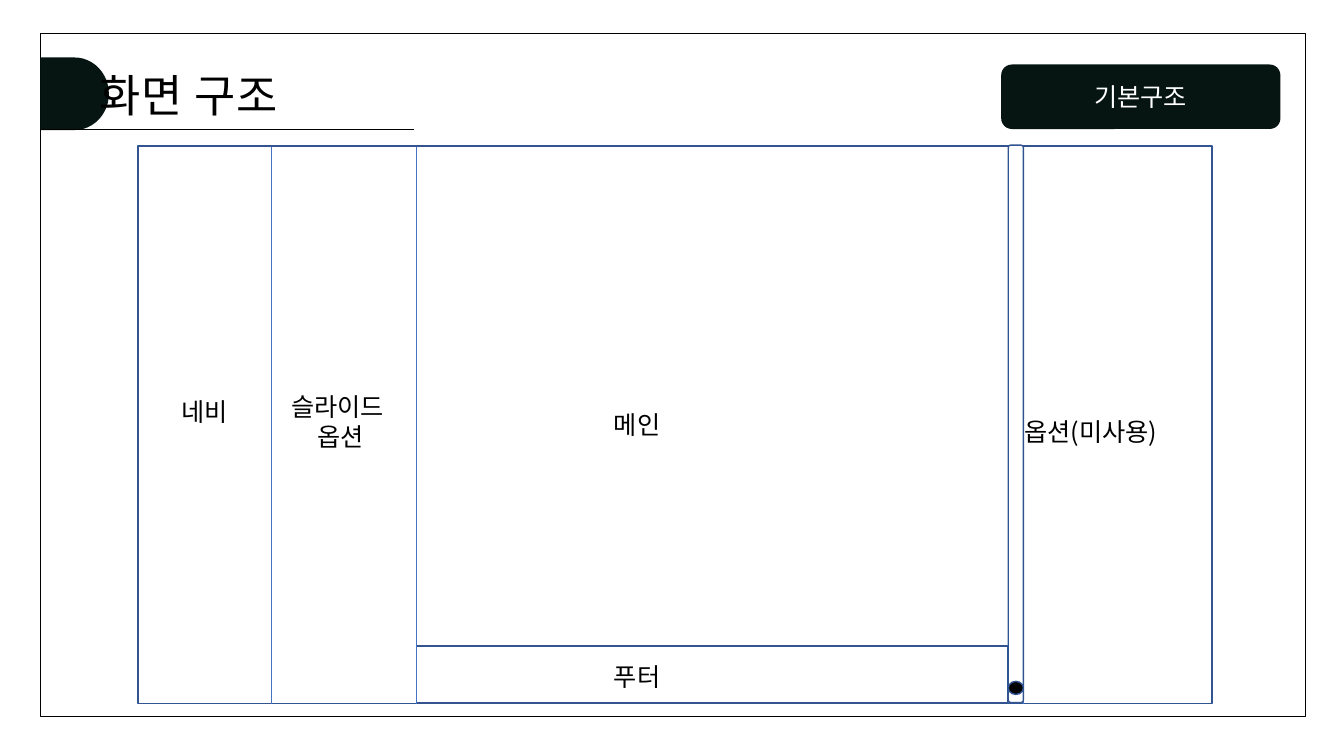
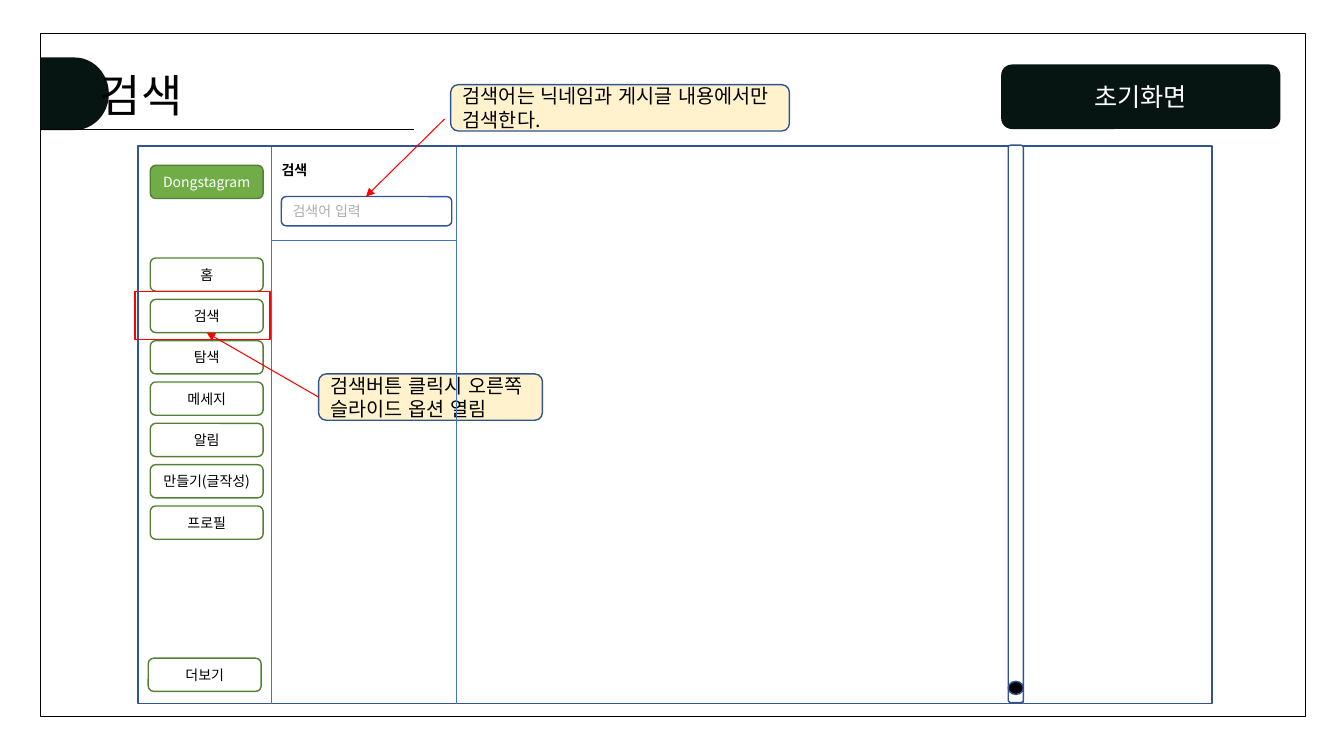
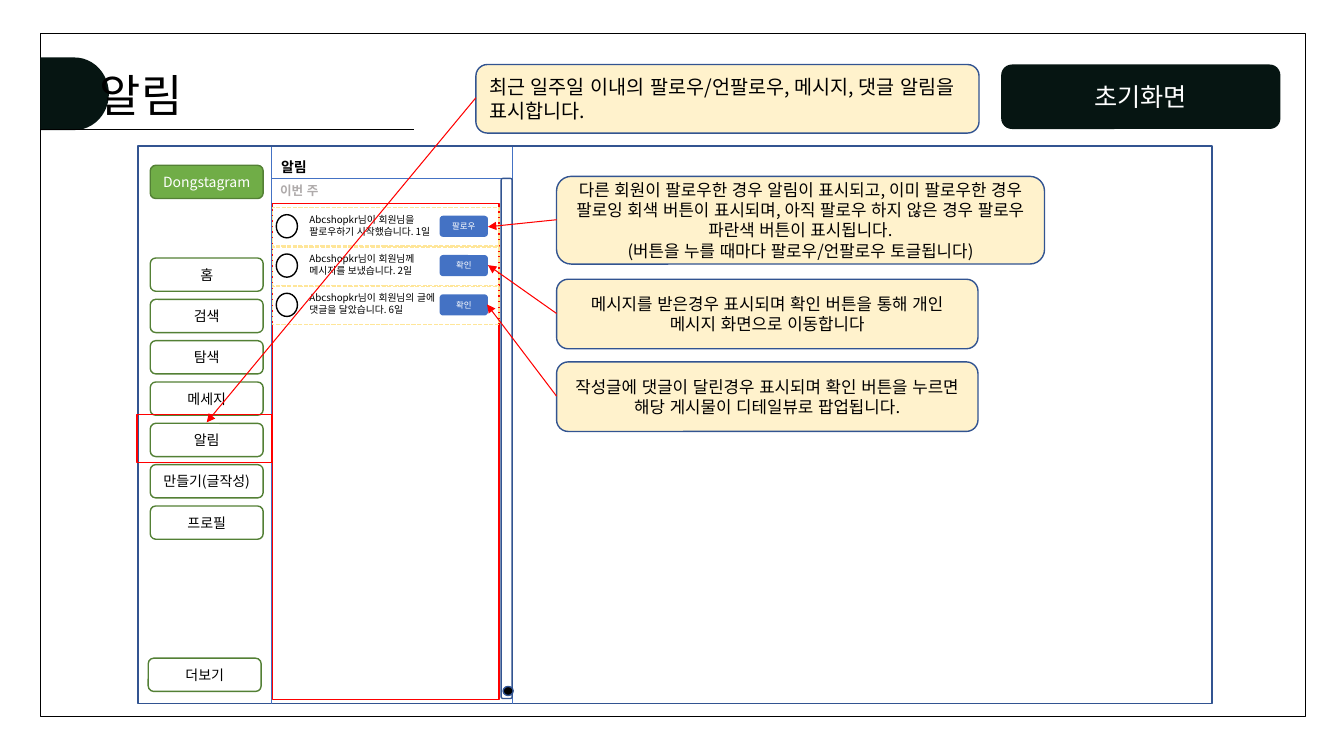
from lxml import etree
from pptx import Presentation
from pptx.dml.color import RGBColor
from pptx.enum.dml import MSO_LINE
from pptx.enum.lang import MSO_LANGUAGE_ID
from pptx.enum.shapes import MSO_CONNECTOR, MSO_SHAPE
from pptx.enum.text import MSO_ANCHOR, MSO_AUTO_SIZE, PP_ALIGN
from pptx.oxml.ns import qn
from pptx.util import Emu, Pt

PX = 9144  # 100 px to the inch
FONT = "Noto Sans CJK KR"
KOREAN = MSO_LANGUAGE_ID.KOREAN
RECTANGLE, ROUNDED = MSO_SHAPE.RECTANGLE, MSO_SHAPE.ROUNDED_RECTANGLE
OVAL, TAB = MSO_SHAPE.OVAL, MSO_SHAPE.FLOWCHART_DELAY
STRAIGHT, DASH = MSO_CONNECTOR.STRAIGHT, MSO_LINE.SQUARE_DOT
LEFT, CENTER = PP_ALIGN.LEFT, PP_ALIGN.CENTER
TOP, MIDDLE = MSO_ANCHOR.TOP, MSO_ANCHOR.MIDDLE
NO_AUTOFIT = MSO_AUTO_SIZE.NONE

BLACK, WHITE, GRAY, RED = "000000", "FFFFFF", "AFABAB", "FF0000"
INK, NAVY, BLUE = "061512", "325491", "4472C4"
GREEN, DARK_GREEN = "70AD47", "538035"
CREAM, GOLD = "FFF2CC", "FFE699"

SCREEN_TOP, SCREEN_BOTTOM = 146, 698
NAV_EDGE = 269
MENU = ["홈", "검색", "탐색", "메세지", "알림", "만들기(글작성)", "프로필"]
MENU_TOP, MENU_PITCH = 256, 41
NOTICES = [
    ("Abcshopkr님이 회원님을 팔로우하기 시작했습니다. 1일", "팔로우"),
    ("Abcshopkr님이 회원님께 메시지를 보냈습니다. 2일", "확인"),
    ("Abcshopkr님이 회원님의 글에 댓글을 달았습니다. 6일", "확인"),
]
NOTICE_TOP, NOTICE_PITCH = 206, 39


def px(*lengths):
    return [Emu(length * PX) for length in lengths]


def rgb(color):
    return RGBColor.from_string(color)


def write_text(shape, paragraphs, size, color=BLACK, align=LEFT, anchor=MIDDLE, bold=False):
    frame = shape.text_frame
    frame.word_wrap = True
    frame.auto_size = NO_AUTOFIT
    frame.vertical_anchor = anchor
    for index, text in enumerate(paragraphs):
        paragraph = frame.add_paragraph() if index else frame.paragraphs[0]
        paragraph.alignment = align
        run = paragraph.add_run()
        run.text = text
        font = run.font
        font.name, font.size, font.bold = FONT, Pt(size), bold
        font.color.rgb = rgb(color)
        font.language_id = KOREAN
        east_asian = etree.SubElement(font._element, qn("a:ea"))
        east_asian.set("typeface", FONT)


def add_box(shapes, kind, box, fill=None, line=None, dash=None):
    shape = shapes.add_shape(kind, *px(*box))
    shape.shadow.inherit = False
    if fill:
        shape.fill.solid()
        shape.fill.fore_color.rgb = rgb(fill)
    else:
        shape.fill.background()
    if line:
        shape.line.color.rgb = rgb(line)
        shape.line.width = Pt(1)
        shape.line.dash_style = dash
    else:
        shape.line.fill.background()
    return shape


def add_label(shapes, box, paragraphs, size, **style):
    label = shapes.add_textbox(*px(*box))
    write_text(label, paragraphs, size, **style)
    return label


def add_line(shapes, start, end, color=BLUE, width=0.5, arrow=False):
    line = shapes.add_connector(STRAIGHT, *px(*start, *end))
    line.line.color.rgb = rgb(color)
    line.line.width = Pt(width)
    if arrow:
        etree.SubElement(line.line._get_or_add_ln(), qn("a:tailEnd")).set("type", "triangle")
    etree.SubElement(line._element.spPr, qn("a:effectLst"))


def add_arrow(shapes, start, end):
    add_line(shapes, start, end, RED, 0.75, arrow=True)


def add_divider(shapes, x):
    add_line(shapes, (x, SCREEN_TOP), (x, SCREEN_BOTTOM))


def add_button(shapes, box, text, size=10, color=BLACK, fill=None, line=DARK_GREEN):
    button = add_box(shapes, ROUNDED, box, fill, line)
    write_text(button, [text], size, color, CENTER)


def add_callout(shapes, box, paragraphs, size=12, align=CENTER):
    callout = add_box(shapes, ROUNDED, box, CREAM, NAVY)
    write_text(callout, paragraphs, size, align=align)


def add_scrollbar(shapes, track, thumb):
    add_box(shapes, ROUNDED, track, WHITE, NAVY)
    add_box(shapes, OVAL, thumb, BLACK, NAVY)


def add_page_scrollbar(shapes):
    add_divider(shapes, 1015)
    add_scrollbar(shapes, (1000, 144, 15, 553), (1000, 676, 15, 13))


def add_navigation(shapes):
    add_button(shapes, (149, 164, 112, 33), "Dongstagram", color=WHITE, fill=GREEN)
    for index, text in enumerate(MENU):
        add_button(shapes, (149, MENU_TOP + index * MENU_PITCH, 112, 33), text)
    add_button(shapes, (147, 653, 112, 33), "더보기")


def add_notice(shapes, top, message, action):
    row = shapes.add_group_shape().shapes
    add_box(row, RECTANGLE, (270, top, 225, 38), line=GOLD, dash=DASH)
    add_label(row, (297, top + 2, 145, 31), [message], 7)
    add_box(row, OVAL, (274, top + 7, 21, 23), WHITE, BLACK)
    add_button(row, (436, top + 8, 48, 21), action, 6, WHITE, BLUE, None)


def add_screen_slide(presentation, title_text, state):
    """Add a slide with the page frame, title, state chip and empty screen."""
    slide = presentation.slides.add_slide(presentation.slide_layouts[5])
    shapes = slide.shapes
    add_box(shapes, RECTANGLE, (40, 33, 1255, 678), line=BLACK)
    add_button(shapes, (993, 64, 277, 64), state, 18, WHITE, INK, None)
    add_box(shapes, TAB, (40, 57, 68, 72), INK)

    title = shapes.title
    title.left, title.top, title.width, title.height = px(49, 62, 362, 64)
    title.text_frame.margin_left = Emu(50 * PX)
    write_text(title, [title_text], 32)
    title.element.getparent().append(title.element)  # in front of the tab

    add_line(shapes, (40, 128), (411, 128), BLACK)
    add_box(shapes, RECTANGLE, (137, 145, 1065, 553), line=NAVY)
    add_divider(shapes, NAV_EDGE)
    return shapes


def build_structure(presentation):
    shapes = add_screen_slide(presentation, "화면 구조", "기본구조")
    add_page_scrollbar(shapes)
    add_box(shapes, RECTANGLE, (413, 641, 587, 56), line=NAVY)
    add_divider(shapes, 413)
    areas = [
        ((1006, 408, 162, 40), "옵션(미사용)"),
        ((599, 401, 71, 40), "메인"),
        ((170, 388, 71, 40), "네비"),
        ((599, 651, 71, 40), "푸터"),
    ]
    for box, text in areas:
        add_label(shapes, box, [text], 18, anchor=TOP)
    option = add_label(shapes, (279, 383, 118, 71), ["슬라이드", "옵션"], 18, align=CENTER, anchor=TOP)
    option.text_frame.paragraphs[0].alignment = LEFT


def build_search(presentation):
    shapes = add_screen_slide(presentation, "검색", "초기화면")
    add_page_scrollbar(shapes)
    add_navigation(shapes)
    add_box(shapes, RECTANGLE, (134, 289, 134, 48), line=RED)

    add_label(shapes, (264, 152, 56, 33), ["검색"], 10, align=CENTER, bold=True)
    search_field = add_box(shapes, ROUNDED, (279, 195, 169, 29), line=NAVY)
    write_text(search_field, ["검색어 입력"], 10, GRAY)
    add_line(shapes, (NAV_EDGE, 238), (453, 238))

    add_callout(shapes, (447, 84, 336, 46), ["검색어는 닉네임과 게시글 내용에서만 검색한다."], 14, LEFT)
    add_arrow(shapes, (441, 118), (363, 195))
    add_callout(shapes, (316, 371, 222, 46), ["검색버튼 클릭시 오른쪽 슬라이드 옵션 열림"], 14, LEFT)
    add_arrow(shapes, (316, 394), (205, 330))
    add_divider(shapes, 453)


def build_notifications(presentation):
    shapes = add_screen_slide(presentation, "알림", "초기화면")
    add_navigation(shapes)
    add_divider(shapes, 508)
    add_line(shapes, (NAV_EDGE, 177), (503, 177))
    add_label(shapes, (269, 152, 166, 27), ["알림"], 10, bold=True)
    add_scrollbar(shapes, (497, 177, 11, 516), (499, 681, 10, 9))
    add_box(shapes, RECTANGLE, (136, 411, 134, 48), line=RED)
    add_box(shapes, RECTANGLE, (270, 202, 225, 492), line=RED)
    add_label(shapes, (268, 178, 228, 21), ["이번 주"], 9, color=GRAY, bold=True)
    for index, (message, action) in enumerate(NOTICES):
        add_notice(shapes, NOTICE_TOP + index * NOTICE_PITCH, message, action)

    add_callout(
        shapes, (472, 64, 499, 68),
        ["최근 일주일 이내의 팔로우/언팔로우, 메시지, 댓글 알림을 표시합니다."], 14, LEFT)
    add_arrow(shapes, (472, 97), (205, 419))
    callouts = [
        ((552, 175, 484, 87),
         ["다른 회원이 팔로우한 경우 알림이 표시되고, 이미 팔로우한 경우 팔로잉 회색 버튼이 "
          "표시되며, 아직 팔로우 하지 않은 경우 팔로우 파란색 버튼이 표시됩니다.",
          "(버튼을 누를 때마다 팔로우/언팔로우 토글됩니다)"], (484, 225)),
        ((552, 277, 418, 69),
         ["메시지를 받은경우 표시되며 확인 버튼을 통해 개인 메시지 화면으로 이동합니다"], (484, 263)),
        ((552, 359, 418, 69),
         ["작성글에 댓글이 달린경우 표시되며 확인 버튼을 누르면 해당 게시물이 디테일뷰로 "
          "팝업됩니다."], (483, 302)),
    ]
    for box, paragraphs, target in callouts:
        left, top, _, height = box
        add_callout(shapes, box, paragraphs)
        add_arrow(shapes, (left, top + height // 2), target)


def main():
    presentation = Presentation()
    presentation.slide_width, presentation.slide_height = px(1333, 750)
    build_structure(presentation)
    build_search(presentation)
    build_notifications(presentation)
    presentation.save("out.pptx")


if __name__ == "__main__":
    main()
